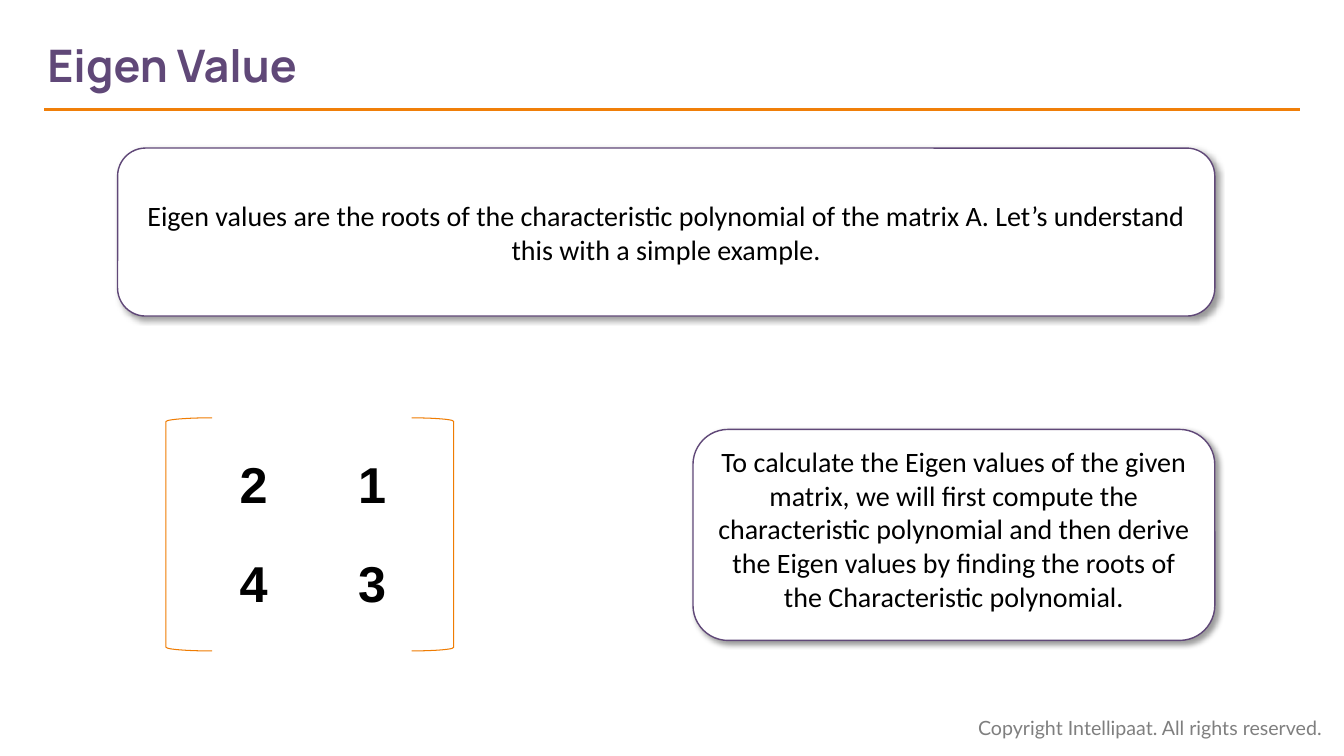
"""Build the Eigen Value slide: title, two text cards and a bracketed matrix."""
from dataclasses import dataclass

from lxml.etree import SubElement
from pptx import Presentation
from pptx.dml.color import RGBColor
from pptx.enum.shapes import MSO_CONNECTOR, MSO_SHAPE
from pptx.enum.text import MSO_ANCHOR, PP_ALIGN
from pptx.oxml.ns import qn
from pptx.util import Emu, Pt

PURPLE = RGBColor(0x60, 0x48, 0x78)
ORANGE = RGBColor(0xF0, 0x7F, 0x09)
BRACKET_ORANGE = RGBColor(0xEF, 0x7C, 0x02)
GRAY = RGBColor(0x7F, 0x7F, 0x7F)
BLACK = RGBColor(0, 0, 0)
WHITE = RGBColor(0xFF, 0xFF, 0xFF)

EMU_PER_PX = 9525
MATRIX = (("2", "1"), ("4", "3"))


@dataclass(frozen=True)
class Box:
    x: int
    y: int
    w: int
    h: int

    def emu(self) -> tuple[Emu, Emu, Emu, Emu]:
        return px(self.x), px(self.y), px(self.w), px(self.h)


@dataclass(frozen=True)
class Card:
    box: Box
    text: str
    anchor: MSO_ANCHOR


@dataclass(frozen=True)
class Bracket:
    kind: MSO_SHAPE
    box: Box


CARDS = (
    Card(Box(112, 141, 1045, 160),
         "Eigen values are the roots of the characteristic polynomial of the matrix A. "
         "Let’s understand this with a simple example.", MSO_ANCHOR.MIDDLE),
    Card(Box(660, 409, 497, 201),
         "To calculate the Eigen values of the given matrix, we will first compute the "
         "characteristic polynomial and then derive the Eigen values by finding the roots "
         "of the Characteristic polynomial.", MSO_ANCHOR.TOP),
)
BRACKETS = (
    Bracket(MSO_SHAPE.LEFT_BRACKET, Box(158, 398, 44, 222)),
    Bracket(MSO_SHAPE.RIGHT_BRACKET, Box(392, 398, 40, 222)),
)


def px(n: int) -> Emu:
    return Emu(n * EMU_PER_PX)


def write(tf, text: str, *, size: int, font: str, color: RGBColor, bold: bool = False,
          align: PP_ALIGN = PP_ALIGN.LEFT, anchor: MSO_ANCHOR = MSO_ANCHOR.TOP) -> None:
    tf.word_wrap = True
    tf.vertical_anchor = anchor
    p = tf.paragraphs[0]
    p.alignment = align
    r = p.add_run()
    r.text = text
    r.font.size = Pt(size)
    r.font.name = font
    r.font.bold = bold
    r.font.color.rgb = color


def add_shadow(sp) -> None:
    effects = SubElement(sp._element.spPr, qn("a:effectLst"))
    shadow = SubElement(effects, qn("a:outerShdw"), blurRad=str(Pt(4)), dist=str(Pt(3)),
                        dir="2700000", algn="tl", rotWithShape="0")
    color = SubElement(shadow, qn("a:srgbClr"), val=str(BLACK))
    SubElement(color, qn("a:alpha"), val="40000")


def add_title(slide, text: str) -> None:
    sp = slide.shapes.title
    sp.left, sp.top, sp.width, sp.height = Box(45, 21, 909, 81).emu()
    sp.text_frame.margin_left = 0
    write(sp.text_frame, text, size=32, font="Manrope", color=PURPLE, bold=True,
          anchor=MSO_ANCHOR.MIDDLE)


def add_rule(slide) -> None:
    rule = slide.shapes.add_connector(MSO_CONNECTOR.STRAIGHT, px(42), px(104), px(1238), px(104))
    rule.line.color.rgb = ORANGE
    rule.line.width = Pt(2.25)
    SubElement(rule._element.spPr, qn("a:effectLst"))


def add_card(slide, card: Card) -> None:
    sp = slide.shapes.add_shape(MSO_SHAPE.ROUNDED_RECTANGLE, *card.box.emu())
    sp.fill.solid()
    sp.fill.fore_color.rgb = WHITE
    sp.line.color.rgb = PURPLE
    sp.line.width = Pt(1)
    add_shadow(sp)
    write(sp.text_frame, card.text, size=20, font="Calibri", color=BLACK,
          align=PP_ALIGN.CENTER, anchor=card.anchor)


def add_bracket(group, bracket: Bracket) -> None:
    sp = group.shapes.add_shape(bracket.kind, *bracket.box.emu())
    sp.shadow.inherit = False
    sp.fill.background()
    sp.line.color.rgb = BRACKET_ORANGE
    sp.line.width = Pt(0.75)


def add_matrix(slide) -> None:
    group = slide.shapes.add_group_shape()
    for bracket in BRACKETS:
        add_bracket(group, bracket)
    box = Box(185, 416, 226, 188)
    table = slide.shapes.add_table(len(MATRIX), len(MATRIX[0]), *box.emu()).table
    table.first_row = False
    table.horz_banding = False
    for i, row in enumerate(MATRIX):
        for j, value in enumerate(row):
            cell = table.cell(i, j)
            cell.fill.background()
            cell.vertical_anchor = MSO_ANCHOR.MIDDLE
            p = cell.text_frame.paragraphs[0]
            p.alignment = PP_ALIGN.CENTER
            r = p.add_run()
            r.text = value
            r.font.size = Pt(36)
            r.font.name = "Arial"
            r.font.bold = True
            r.font.color.rgb = BLACK


def main() -> None:
    prs = Presentation()
    prs.slide_width, prs.slide_height = px(1280), px(720)
    slide = prs.slides.add_slide(prs.slide_layouts.get_by_name("Title Only"))
    footer = slide.shapes.add_textbox(*Box(922, 677, 352, 33).emu())
    write(footer.text_frame, "Copyright Intellipaat. All rights reserved.",
          size=14, font="Lato", color=GRAY)
    add_rule(slide)
    add_title(slide, "Eigen Value")
    for card in CARDS:
        add_card(slide, card)
    add_matrix(slide)
    prs.save("out.pptx")


if __name__ == "__main__":
    main()
